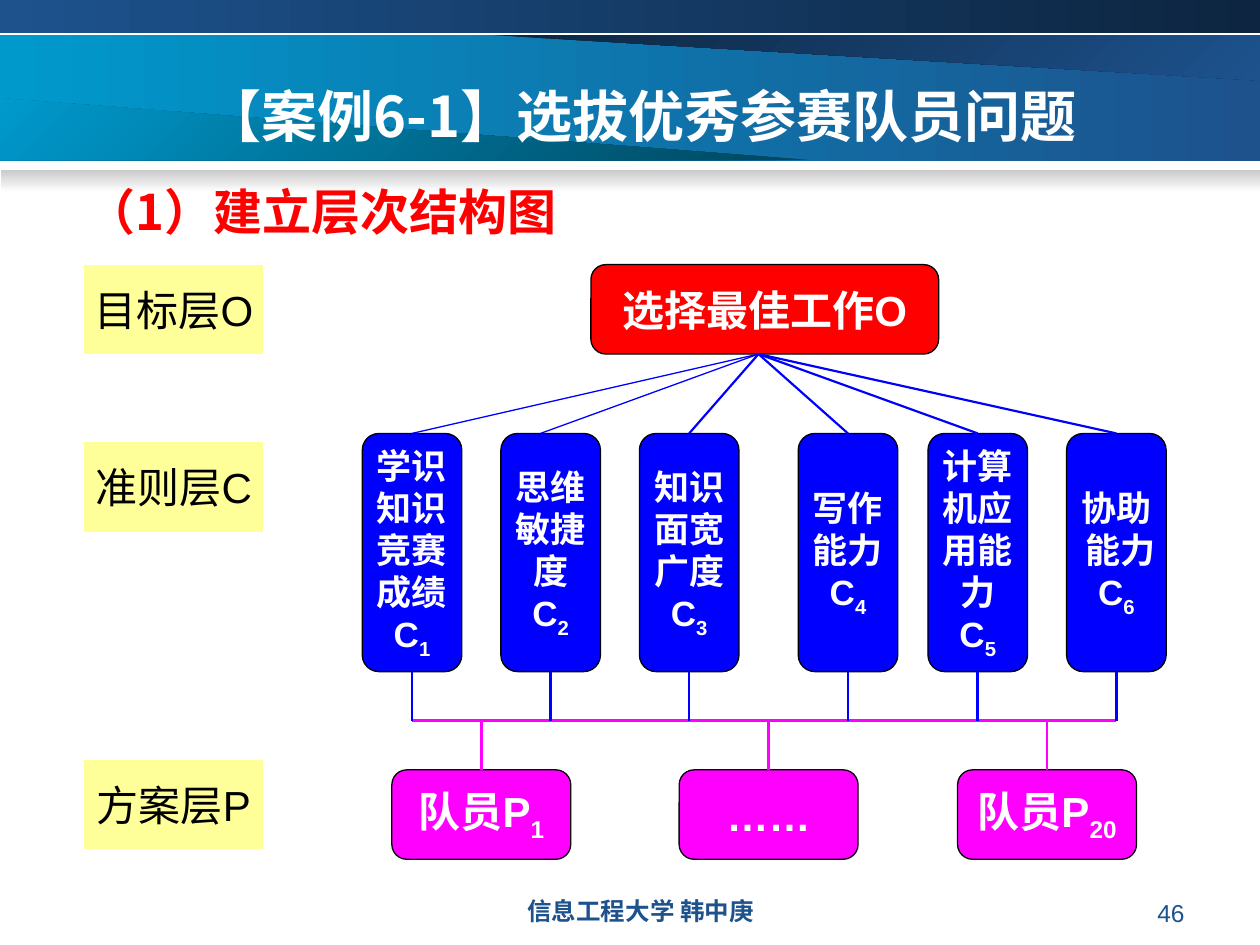
"""Build the slide of the three-layer hierarchy for choosing team members."""
import lxml.etree
import pptx
import pptx.dml.color
import pptx.enum.shapes
import pptx.enum.text
import pptx.oxml.ns
import pptx.util

Inches = pptx.util.Inches
KIND = pptx.enum.shapes.MSO_SHAPE
ALIGN = pptx.enum.text.PP_ALIGN
ANCHOR = pptx.enum.text.MSO_ANCHOR
CJK = "Noto Sans CJK SC"
BLUE, PINK, RED, WHITE, NAVY = "0000FF", "FF00FF", "FF0000", "FFFFFF", "1D528D"


def tone(code):
    """Return the colour of a hex string."""
    return pptx.dml.color.RGBColor.from_string(code)


def write(frame, text, size, color, bold=True, face="Arial", align=ALIGN.CENTER):
    """Fill a frame with lines of text; an underscore starts a subscript."""
    for i, line in enumerate(text.split("\n")):
        para = frame.paragraphs[0] if i == 0 else frame.add_paragraph()
        para.alignment = align
        font = para.font
        font.name, font.size, font.bold = face, pptx.util.Pt(size), bold
        font.color.rgb = tone(color)
        latin = para._p.pPr.find(".//" + pptx.oxml.ns.qn("a:latin"))
        east = lxml.etree.Element(pptx.oxml.ns.qn("a:ea"), typeface=CJK)
        latin.addnext(east)
        base, _, sub = line.partition("_")
        para.add_run().text = base
        if sub:
            run = para.add_run()
            run.text = sub
            run._r.get_or_add_rPr().set("baseline", "-25000")


def shade(shape, first, last, angle):
    """Give a shape a two-colour gradient and no line."""
    shape.shadow.inherit = False
    shape.line.fill.background()
    shape.fill.gradient()
    shape.fill.gradient_angle = angle
    for stop, code in zip(shape.fill.gradient_stops, (first, last)):
        stop.color.rgb = tone(code)


def band(slide, x, y, w, h, *look):
    """Add a shaded rectangle."""
    area = map(Inches, (x, y, w, h))
    shade(slide.shapes.add_shape(KIND.RECTANGLE, *area), *look)


def wedge(slide, points, *look):
    """Add a shaded polygon."""
    spots = [(Inches(x), Inches(y)) for x, y in points]
    form = slide.shapes.build_freeform(*spots[0], scale=1.0)
    form.add_line_segments(spots[1:], close=True)
    shade(form.convert_to_shape(), *look)


def box(slide, kind, x, y, w, h, fill, text, size, color=WHITE, bold=True):
    """Add a filled box with centred text."""
    shape = slide.shapes.add_shape(kind, *map(Inches, (x, y, w, h)))
    shape.shadow.inherit = False
    shape.fill.solid()
    shape.fill.fore_color.rgb = tone(fill)
    if kind == KIND.FLOWCHART_ALTERNATE_PROCESS:
        shape.line.color.rgb = tone("000000")
        shape.line.width = pptx.util.Pt(0.75)
    else:
        shape.line.fill.background()
    frame = shape.text_frame
    frame.word_wrap = False
    frame.vertical_anchor = ANCHOR.MIDDLE
    write(frame, text, size, color, bold)


def link(slide, x1, y1, x2, y2, color, width=1.5):
    """Add a straight line without shadow."""
    ends = map(Inches, (x1, y1, x2, y2))
    line = slide.shapes.add_connector(pptx.enum.shapes.MSO_CONNECTOR.STRAIGHT, *ends)
    line.line.color.rgb = tone(color)
    line.line.width = pptx.util.Pt(width)
    lxml.etree.SubElement(line._element.spPr, pptx.oxml.ns.qn("a:effectLst"))


def note(slide, x, y, w, h, text, size, color, **look):
    """Add a text box."""
    frame = slide.shapes.add_textbox(*map(Inches, (x, y, w, h))).text_frame
    frame.word_wrap = True
    write(frame, text, size, color, **look)


def banner(slide):
    """Draw the bands behind the title."""
    band(slide, 0, 0.28, 10, 1, NAVY, "0099CC", 180)
    wedge(slide, [(9.82, 0.28), (3.93, 0.28), (10, 0.64), (10, 0.28)],
          "0D2540", NAVY, 315)
    wedge(slide, [(0.19, 1.27), (6.43, 1.27), (0, 0.78), (0, 1.27)],
          "00465E", "0099CC", 135)
    band(slide, 0, 0, 10, 0.26, "0D2540", NAVY, 180)
    band(slide, 0.01, 1.35, 9.99, 0.17, "CACACA", "FEFEFE", 270)


def head(slide, text):
    """Place the title on top of the banner."""
    title = slide.shapes.title
    title.left, title.top, title.width, title.height = map(
        Inches, (1.53, 0.6, 7.64, 0.83))
    frame = title.text_frame
    frame.word_wrap = True
    frame.auto_size = pptx.enum.text.MSO_AUTO_SIZE.NONE
    frame.vertical_anchor = ANCHOR.TOP
    write(frame, text, 32, WHITE, face=CJK, align=ALIGN.LEFT)
    slide.shapes._spTree.append(title._element)


def tree(slide):
    """Draw the goal, criteria and choices with their links."""
    goal, top, foot, rail, base = 2.1, 3.44, 5.33, 5.72, 6.11
    wide, tall, slim = 1.42, 0.71, 0.79
    card = KIND.FLOWCHART_ALTERNATE_PROCESS
    for y, text in ((goal, "目标层O"), (3.51, "准则层C"), (6.03, "方案层P")):
        box(slide, KIND.FLOWCHART_PROCESS, 0.67, y, wide, tall, "FFFF99",
            text, 24, "000000", False)
    box(slide, card, 4.69, goal, 2.76, tall, RED, "选择最佳工作O", 24)
    tests = (
        (3.27, 3.27, 0.75, "学识\n知识\n竞赛\n成绩"),
        (4.37, 4.29, 0.75, "思维\n敏捷\n度"),
        (5.47, 5.47, 1.25, "知识\n面宽\n广度"),
        (6.73, 6.73, 1.25, "写作\n能力"),
        (7.76, 7.76, 1.25, "计算\n机应\n用能\n力"),
        (8.86, 8.86, 1.25, "协助\n 能力"),
    )
    link(slide, tests[0][0], rail, tests[-1][0], rail, PINK)
    for i, (mid, tip, width, text) in enumerate(tests, 1):
        box(slide, card, mid - slim / 2, top, slim, foot - top, BLUE,
            f"{text}\nC_{i}", 20)
        link(slide, 6.02, goal + tall, tip, top, BLUE, width)
        link(slide, mid, foot, mid, rail, BLUE)
    for mid, text in ((3.82, "队员P_1"), (6.1, "……"), (8.31, "队员P_20")):
        box(slide, card, mid - wide / 2, base, wide, tall, PINK, text, 24)
        link(slide, mid, rail, mid, base, PINK)


def main():
    """Build and save the slide."""
    deck = pptx.Presentation()
    deck.slide_width, deck.slide_height = Inches(10), Inches(7.5)
    slide = deck.slides.add_slide(deck.slide_layouts[5])
    banner(slide)
    note(slide, 0.59, 1.39, 4.41, 0.57, "（1）建立层次结构图", 28, RED,
         face=CJK, align=ALIGN.LEFT)
    tree(slide)
    head(slide, "【案例6-1】选拔优秀参赛队员问题")
    note(slide, 3.5, 7.06, 3.17, 0.27, "信息工程大学 韩中庚", 14, NAVY)
    note(slide, 7.17, 7.08, 2.33, 0.27, "46", 14, NAVY, bold=False,
         align=ALIGN.RIGHT)
    deck.save("out.pptx")


if __name__ == "__main__":
    main()
